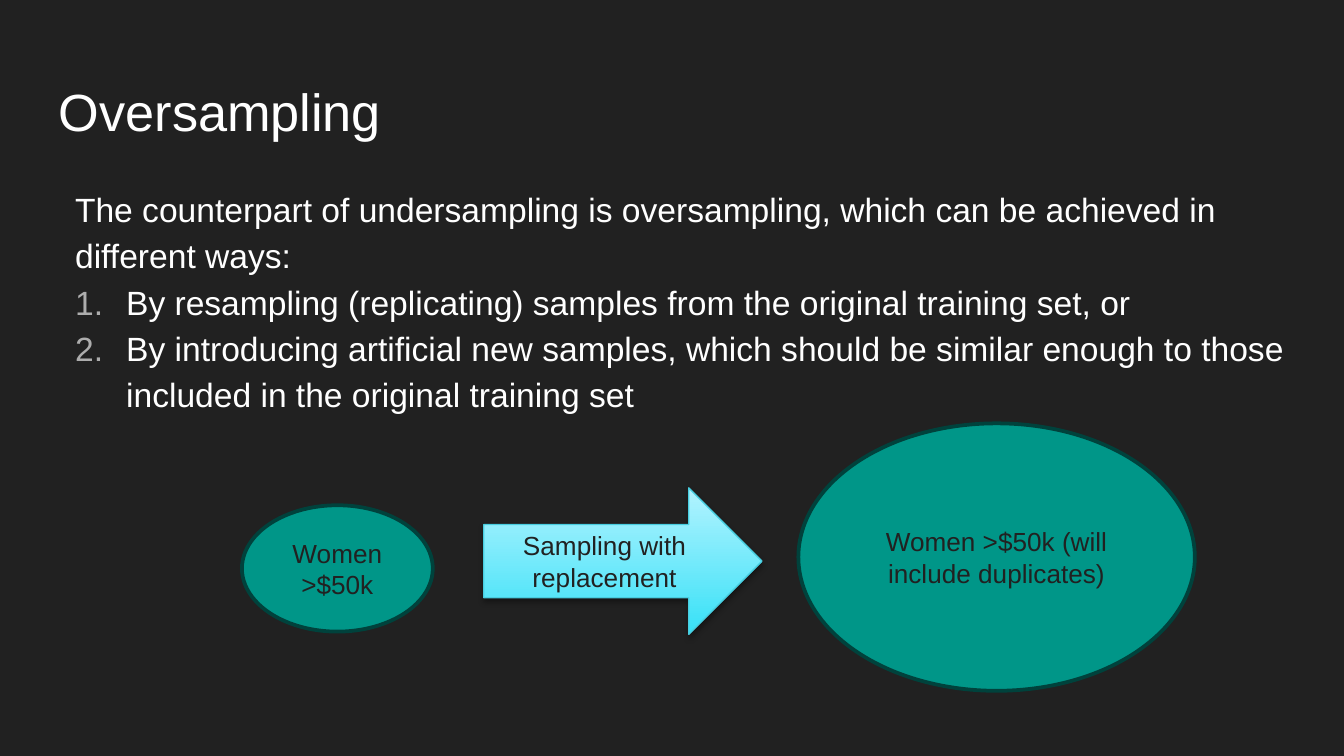
from dataclasses import dataclass

from lxml.etree import SubElement
from pptx import Presentation
from pptx.dml.color import RGBColor
from pptx.enum.shapes import MSO_SHAPE
from pptx.enum.text import MSO_ANCHOR, PP_ALIGN
from pptx.oxml.ns import qn
from pptx.util import Inches, Pt

DARK = RGBColor(0x21, 0x21, 0x21)
WHITE = RGBColor(0xFF, 0xFF, 0xFF)
GREY = RGBColor(0xAD, 0xAD, 0xAD)
TEAL = RGBColor(0x00, 0x96, 0x88)
PINE = RGBColor(0x00, 0x42, 0x3C)
CYAN = RGBColor(0x37, 0xE1, 0xF7)
PALE = RGBColor(0xB3, 0xF3, 0xFF)
EDGE = RGBColor(0x48, 0xCE, 0xE0)
FONT = "Arial"


@dataclass
class Box:
    left: float
    top: float
    width: float
    height: float

    def place(self) -> tuple:
        return tuple(Inches(n) for n in (self.left, self.top, self.width, self.height))


@dataclass
class Group:
    text: str
    box: Box


TITLE = Box(0.34, 0.49, 9.32, 0.63)
BODY = Box(0.34, 1.26, 9.32, 3.74)
INTRO = "The counterpart of undersampling is oversampling, which can be achieved in different ways:"
WAYS = [
    "By resampling (replicating) samples from the original training set, or",
    "By introducing artificial new samples, which should be similar enough to those included in the original training set",
]
SMALL = Group("Women >$50k", Box(1.8, 3.76, 1.42, 0.94))
STEP = Group("Sampling with replacement", Box(3.6, 3.63, 2.07, 1.09))
LARGE = Group("Women >$50k (will include duplicates)", Box(5.94, 3.15, 2.95, 1.99))


def write(para, text: str, *, size=14, color=DARK, align=PP_ALIGN.LEFT,
          space=None, left=0.0, hang=0.0, number=False) -> None:
    para.alignment = align
    para.line_spacing = space
    props = para._p.get_or_add_pPr()
    props.set("marL", str(Inches(left)))
    props.set("indent", str(Inches(hang)))
    if number:
        tint = SubElement(props, qn("a:buClr"))
        SubElement(tint, qn("a:srgbClr"), val=str(GREY))
        SubElement(props, qn("a:buFont"), typeface=FONT)
        SubElement(props, qn("a:buAutoNum"), type="arabicPeriod")
    run = para.add_run()
    run.text = text
    run.font.name = FONT
    run.font.size = Pt(size)
    run.font.color.rgb = color


def add_text(slide, box: Box):
    frame = slide.shapes.add_textbox(*box.place()).text_frame
    frame.word_wrap = True
    frame.margin_left = frame.margin_right = Inches(0.1)
    frame.margin_top = frame.margin_bottom = Inches(0.1)
    return frame


def add_form(slide, kind: MSO_SHAPE, group: Group, line: RGBColor, weight: float):
    form = slide.shapes.add_shape(kind, *group.box.place())
    form.shadow.inherit = False
    form.line.color.rgb = line
    form.line.width = Pt(weight)
    frame = form.text_frame
    frame.word_wrap = True
    frame.vertical_anchor = MSO_ANCHOR.MIDDLE
    write(frame.paragraphs[0], group.text, align=PP_ALIGN.CENTER)
    return form


def add_oval(slide, group: Group) -> None:
    form = add_form(slide, MSO_SHAPE.OVAL, group, PINE, 2)
    form.fill.solid()
    form.fill.fore_color.rgb = TEAL


def add_arrow(slide, step: Group) -> None:
    form = add_form(slide, MSO_SHAPE.RIGHT_ARROW, step, EDGE, 0.75)
    form.fill.gradient()
    form.fill.gradient_angle = 90
    for stop, place, color in zip(form.fill.gradient_stops, (0, 1), (CYAN, PALE)):
        stop.position = place
        stop.color.rgb = color
    effects = form._element.spPr.find(qn("a:effectLst"))
    shade = SubElement(effects, qn("a:outerShdw"), blurRad=str(Pt(3.1)),
                       dist=str(Pt(1.8)), dir="5400000", rotWithShape="0")
    color = SubElement(shade, qn("a:srgbClr"), val="000000")
    SubElement(color, qn("a:alpha"), val="35000")


def main() -> None:
    """Build the oversampling slide."""
    deck = Presentation()
    deck.slide_width = Inches(10)
    deck.slide_height = Inches(10 * 9 / 16)
    slide = deck.slides.add_slide(deck.slide_layouts[6])
    slide.background.fill.solid()
    slide.background.fill.fore_color.rgb = DARK

    write(add_text(slide, TITLE).paragraphs[0], "Oversampling", size=28, color=WHITE)
    body = add_text(slide, BODY)
    write(body.paragraphs[0], INTRO, size=18, color=WHITE, space=1.15, left=0.12)
    for way in WAYS:
        write(body.add_paragraph(), way, size=18, color=WHITE, space=1.15,
              left=0.5, hang=-0.38, number=True)

    add_oval(slide, SMALL)
    add_arrow(slide, STEP)
    add_oval(slide, LARGE)
    deck.save("out.pptx")


if __name__ == "__main__":
    main()
